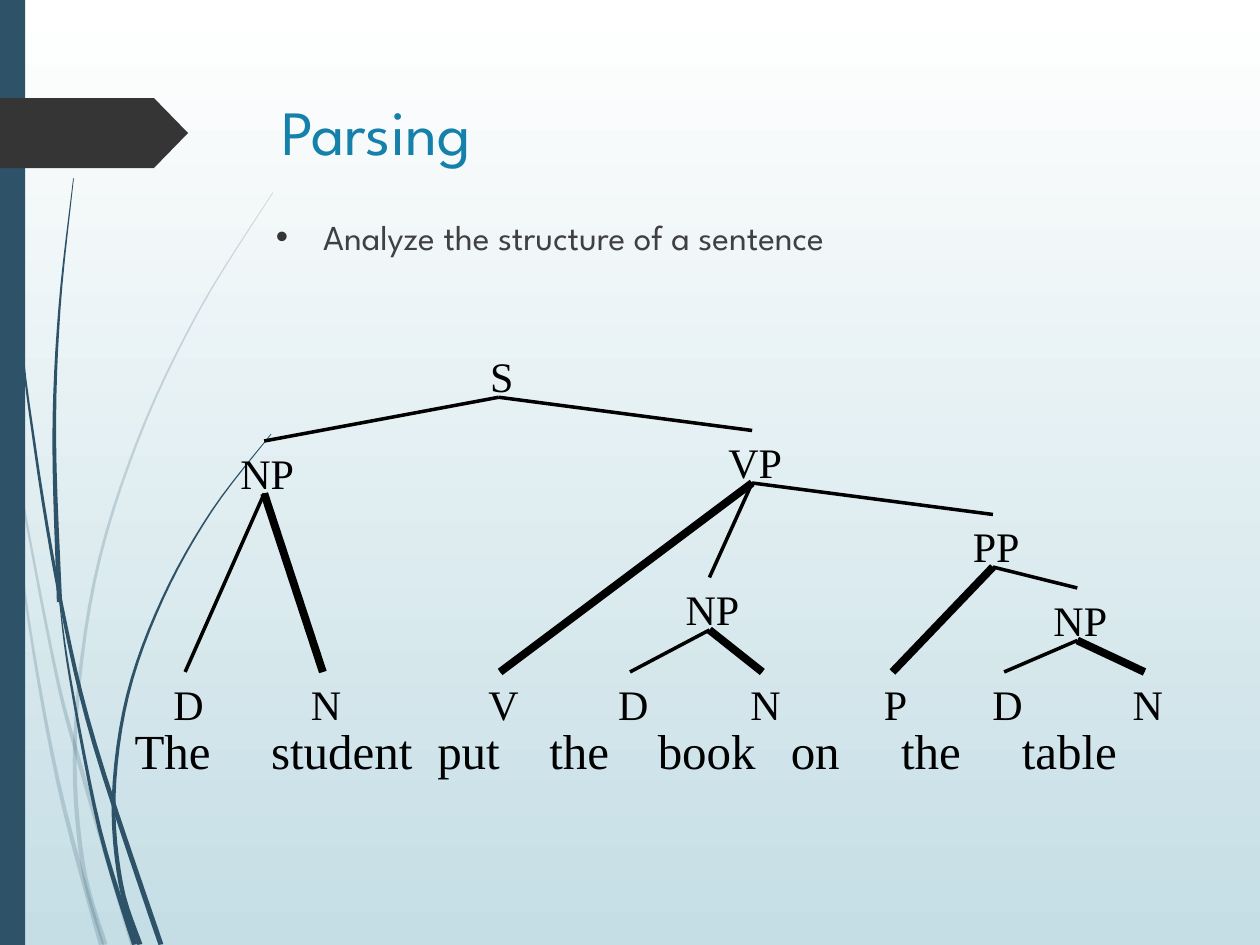
import math

import pptx
import pptx.dml.color
import pptx.enum.shapes
import pptx.enum.text
import pptx.oxml.ns
import pptx.util
from lxml import etree

Pt = pptx.util.Pt
STEPS = 6  # straight pieces between two knots of a strand

# Centre lines of the tapering strands, from tip to root.
PALE_STRANDS = [
    [(0, 208), (8, 259), (30, 375), (44, 431), (76, 540)],
    [(6, 252), (14, 338), (33, 446), (58, 540)],
    [(156, 110), (114, 177), (79, 251), (54, 332), (43, 421), (47, 492), (60, 540)],
]
DARK_STRANDS = [
    [(2, 0), (10, 168), (20, 256), (35, 345), (54, 425), (92, 540)],
    [(34, 343), (40, 387), (57, 474), (77, 540)],
    [(42, 102), (34, 176), (31, 251), (34, 344)],
    [(155, 248), (121, 292), (93, 342), (73, 397), (65, 455), (69, 505), (80, 540)],
]

WORDS = ["The", "student", "put", "the", "book", "on", "the", "table"]
WORD_STOPS = [78, 173, 237, 299, 375, 438, 507]
LABEL_WIDTHS = {"P": 28, "S": 28, "PP": 41, "NP": 45.4, "VP": 45.4}
LEAF_TOP = 384


def leaf(text, x):
    return (text, x, LEAF_TOP, None, [])


# A node is its label, branching x, top, position of its head child, children.
OBJECT = ("NP", 405.4, 330, 1, [leaf("D", 360), leaf("N", 435.6)])
PLACE = ("NP", 615.6, 336, 1, [leaf("D", 573.8), leaf("N", 654)])
PREPOSITION = ("PP", 567.4, 294, 0, [leaf("P", 510), PLACE])
SUBJECT = ("NP", 151, 252, 1, [leaf("D", 105.8), leaf("N", 184.5)])
PREDICATE = ("VP", 429.8, 246, 0, [leaf("V", 285.8), OBJECT, PREPOSITION])
SENTENCE = ("S", 285, 197, None, [SUBJECT, PREDICATE])


def color(value):
    return pptx.dml.color.RGBColor.from_string(value)


def add_xml(parent, tag, **attributes):
    return etree.SubElement(parent, pptx.oxml.ns.qn(tag), attributes)


def smooth(knots):
    """Run a Catmull-Rom curve through the knots."""
    padded = [knots[0], *knots, knots[-1]]
    points = [knots[0]]
    for a, b, c, d in zip(padded, padded[1:], padded[2:], padded[3:]):
        for step in range(1, STEPS + 1):
            t = step / STEPS
            points.append(tuple(
                q + t * ((r - p) + t * ((2 * p - 5 * q + 4 * r - s)
                                        + t * (3 * q - p - 3 * r + s))) / 2
                for p, q, r, s in zip(a, b, c, d)))
    return points


def ribbon(knots, root_width=3):
    """Outline a strand that widens evenly from its tip."""
    points = smooth(knots)
    left, right = [], []
    last = len(points) - 1
    for i, (x, y) in enumerate(points):
        before, after = points[max(i - 1, 0)], points[min(i + 1, last)]
        angle = math.atan2(after[1] - before[1], after[0] - before[0])
        half = (0.4 + (root_width - 0.4) * i / last) / 2
        dx, dy = half * math.sin(angle), half * math.cos(angle)
        left.append((x - dx, min(y + dy, 540)))
        right.append((x + dx, min(y - dy, 540)))
    return left + right[::-1]


class Painter:
    heading, serif = "League Spartan", "Times New Roman"
    navy, charcoal, black = "2E5369", "353535", "000000"

    def __init__(self, page):
        self.page = page

    def background(self, *stops):
        fill = self.page.background.fill
        fill.gradient()
        fill.gradient_angle = 270
        for stop, value in zip(fill.gradient_stops, stops):
            stop.color.rgb = color(value)

    def paint(self, shape, value, opacity=100):
        shape.shadow.inherit = False
        shape.line.fill.background()
        shape.fill.solid()
        shape.fill.fore_color.rgb = color(value)
        if opacity < 100:
            add_xml(shape.element.xpath("./p:spPr/a:solidFill/a:srgbClr")[0],
                    "a:alpha", val=str(opacity * 1000))

    def bar(self, left, top, width, height):
        kind = pptx.enum.shapes.MSO_SHAPE.RECTANGLE
        self.paint(self.page.shapes.add_shape(kind, Pt(left), Pt(top), Pt(width), Pt(height)),
                   self.navy)

    def outline(self, points, value, opacity=100):
        corners = [(Pt(x), Pt(y)) for x, y in points]
        builder = self.page.shapes.build_freeform(*corners[0])
        builder.add_line_segments(corners[1:], close=True)
        self.paint(builder.convert_to_shape(), value, opacity)

    def span(self, para, text, size, font, value):
        span = para.add_run()
        span.text = text
        span.font.size, span.font.name = Pt(size), font
        span.font.color.rgb = color(value)

    def placeholder(self, box, bounds, text, size, value):
        box.left, box.top, box.width, box.height = map(Pt, bounds)
        box.text_frame.vertical_anchor = pptx.enum.text.MSO_ANCHOR.TOP
        para = box.text_frame.paragraphs[0]
        para.alignment = pptx.enum.text.PP_ALIGN.LEFT
        self.span(para, text, size, self.heading, value)
        return para

    def bullet(self, para, value):
        para.space_before = Pt(10)
        marks = para._p.get_or_add_pPr()
        marks.set("marL", str(Pt(27)))
        marks.set("indent", str(-Pt(27)))
        add_xml(add_xml(marks, "a:buClr"), "a:srgbClr", val=value)
        add_xml(marks, "a:buChar", char="•")

    def label(self, text, left, top, width, height=36, size=24, stops=()):
        box = self.page.shapes.add_textbox(Pt(left), Pt(top), Pt(width), Pt(height))
        box.text_frame.word_wrap = bool(stops)
        box.text_frame.auto_size = pptx.enum.text.MSO_AUTO_SIZE.SHAPE_TO_FIT_TEXT
        para = box.text_frame.paragraphs[0]
        self.span(para, text, size, self.serif, self.black)
        if stops:
            tabs = add_xml(para._p.get_or_add_pPr(), "a:tabLst")
            for stop in stops:
                add_xml(tabs, "a:tab", pos=str(Pt(stop)), algn="l")

    def branch(self, start, end, weight):
        kind = pptx.enum.shapes.MSO_CONNECTOR.STRAIGHT
        line = self.page.shapes.add_connector(kind, *map(Pt, start + end))
        line.line.width = Pt(weight)
        line.line.color.rgb = color(self.black)
        add_xml(line.element.spPr, "a:effectLst")

    def tree(self, node):
        """Draw a node and all below it; the branch to its head is retraced in bold."""
        text, x, top, head, children = node
        width = LABEL_WIDTHS.get(text, 31.7)
        self.label(text, x + 2 - width / 2, top, width)
        for position, child in enumerate(children):
            self.tree(child)
            for weight in (2, 4.5) if position == head else (2,):
                self.branch((x, top + 30), (child[1], child[2]), weight)


def main():
    deck = pptx.Presentation()
    deck.slide_width, deck.slide_height = Pt(720), Pt(540)
    page = deck.slides.add_slide(deck.slide_layouts[1])
    painter = Painter(page)
    painter.background("FFFFFF", "C5DEE5")
    for strands, opacity in ((PALE_STRANDS, 20), (DARK_STRANDS, 100)):
        for strand in strands:
            painter.outline(ribbon(strand), painter.navy, opacity)
    painter.bar(0, 0, 14.4, 540)
    painter.outline([(0, 56), (88, 56), (107.5, 76), (88, 96), (0, 96)], painter.charcoal)

    painter.placeholder(page.shapes.title, (153.4, 49, 519, 100.8), "Parsing", 36, "1581AA")
    para = painter.placeholder(page.placeholders[1], (150.5, 119.5, 519, 297.4),
                               "Analyze the structure of a sentence", 20, "404040")
    painter.bullet(para, painter.charcoal)

    painter.label("\t".join(WORDS), 69.8, 408.2, 641.5, 41, 28, WORD_STOPS)
    painter.tree(SENTENCE)
    deck.save("out.pptx")


if __name__ == "__main__":
    main()
